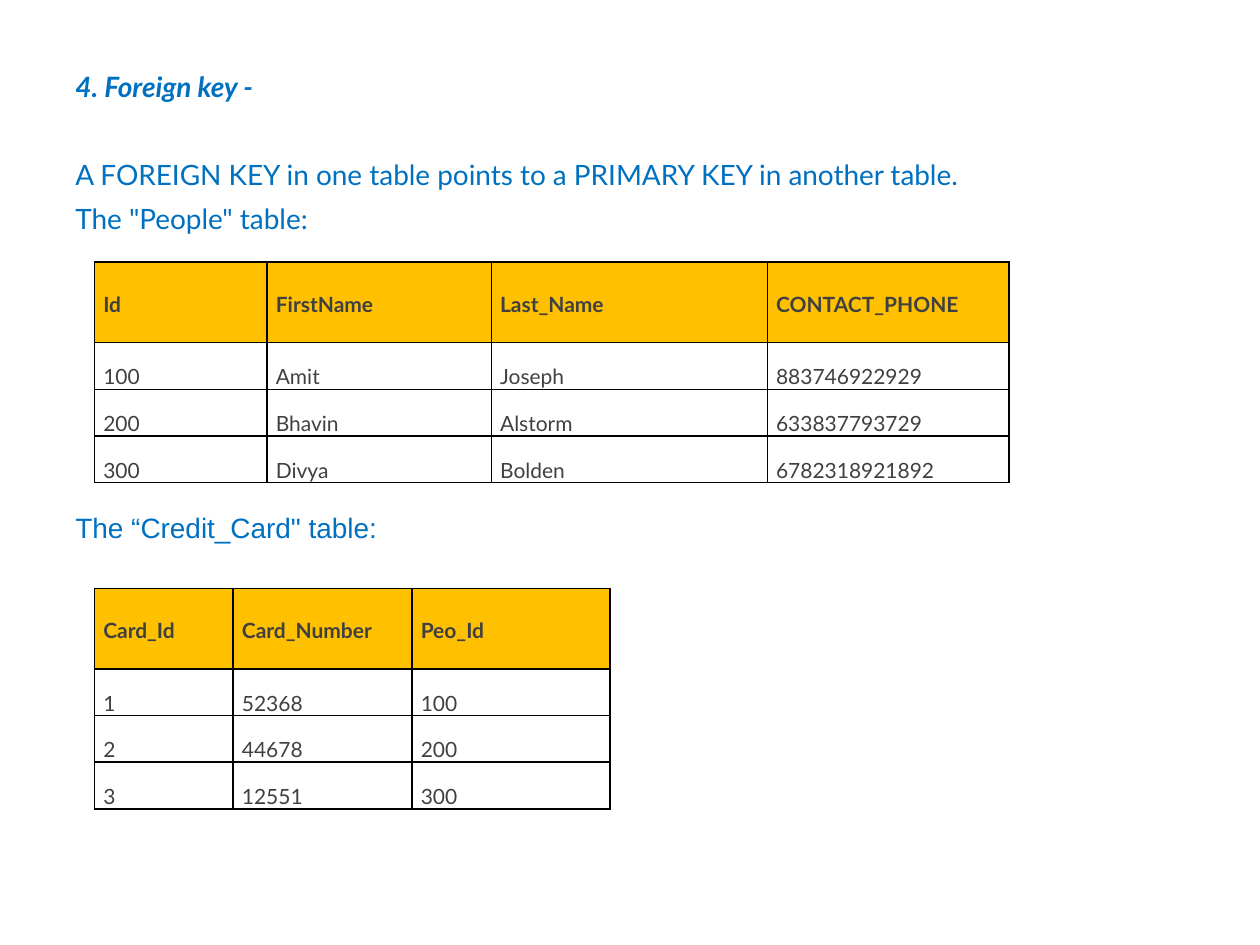
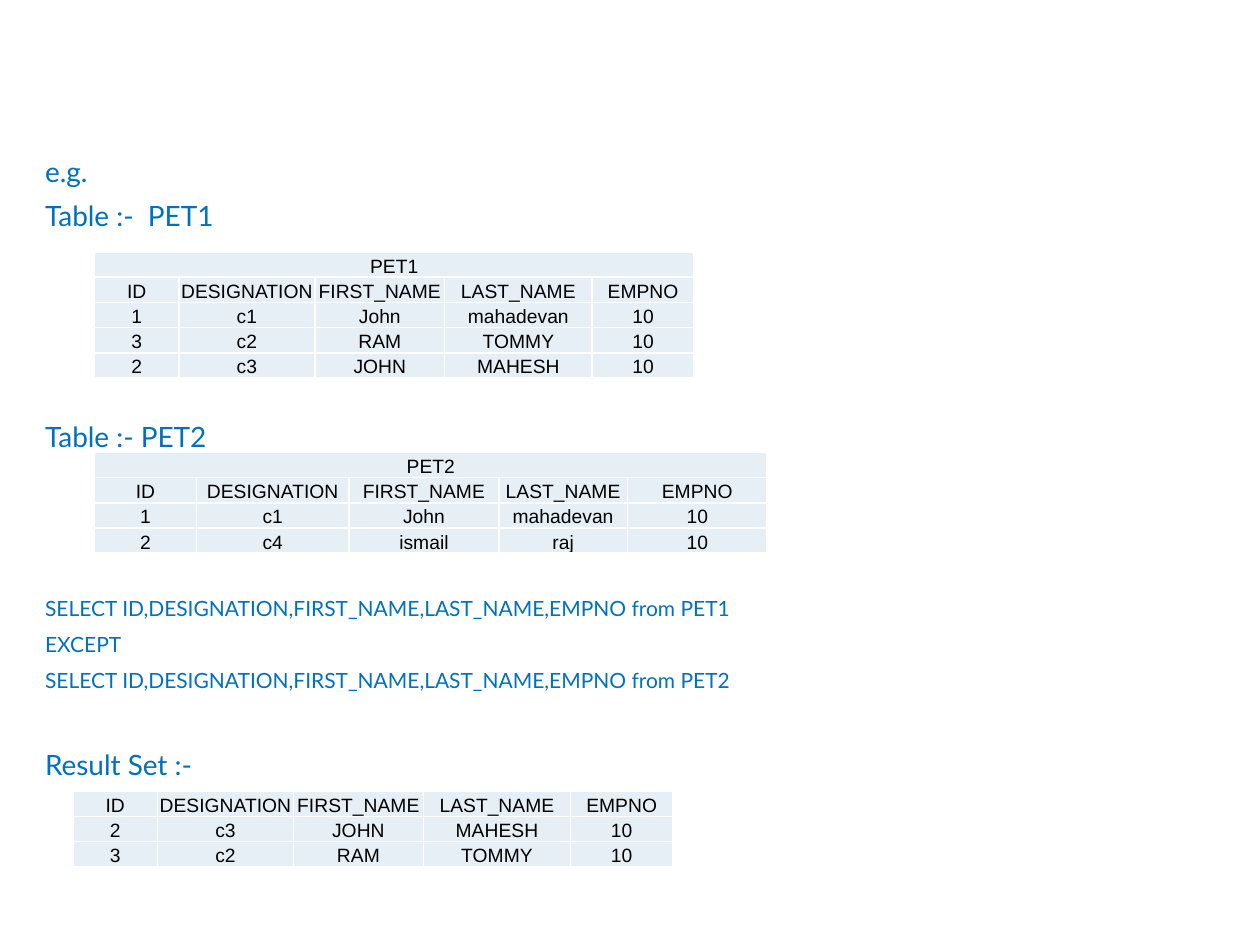
import pptx
import pptx.dml.color
import pptx.enum.text
import pptx.util
from lxml import etree
from pptx.oxml.ns import qn

Inches, Pt = pptx.util.Inches, pptx.util.Pt
Align, Anchor = pptx.enum.text.PP_ALIGN, pptx.enum.text.MSO_ANCHOR

# Shared look
BLUE, GOLD, GREY = "0070C0", "FFC000", "404040"
PALE, BLACK, WHITE = "E7EFF6", "000000", "FFFFFF"
GAP = 6          # points after each line of text
STEP = 25.2      # points taken by one 16 pt line and its gap
FIELDS = ["ID", "DESIGNATION", "FIRST_NAME", "LAST_NAME", "EMPNO"]
QUERY = "SELECT " + ",".join(FIELDS) + " from "


def color(code):
    return pptx.dml.color.RGBColor.from_string(code)


def style(font, name, size, code, bold=False, italic=False):
    font.name, font.size = name, Pt(size)
    font.bold, font.italic = bold, italic
    font.color.rgb = color(code)


def add_text(slide, box, lines):
    """Each line is its text, lines of space above, and font changes."""
    frame = slide.shapes.add_textbox(*map(Inches, box)).text_frame
    frame.word_wrap = True
    for i, (text, skip, extra) in enumerate(lines):
        para = frame.paragraphs[0] if i == 0 else frame.add_paragraph()
        para.text = text
        para.space_before, para.space_after = Pt(skip * STEP), Pt(GAP)
        style(para.font, **{"name": "Lato", "size": 16, "code": BLUE, **extra})


def add_border(cell, code):
    props = cell._tc.get_or_add_tcPr()
    for side in ("lnL", "lnR", "lnT", "lnB"):
        line = etree.SubElement(props, qn("a:" + side), w=str(Pt(1)))
        fill = etree.SubElement(line, qn("a:solidFill"))
        etree.SubElement(fill, qn("a:srgbClr"), val=code)


def add_grid(slide, left, top, cols, heights, rows, paint):
    """Place a table and let paint(cell, row number) style each cell."""
    table = slide.shapes.add_table(
        len(rows), len(cols), Inches(left), Inches(top),
        Inches(sum(cols)), Inches(sum(heights))).table
    table.first_row = table.horz_banding = False
    for col, width in zip(table.columns, cols):
        col.width = Inches(width)
    for r, (row, height) in enumerate(zip(rows, heights)):
        table.rows[r].height = Inches(height)
        for c in range(len(cols)):
            cell = table.cell(r, c)
            cell.text = row[c] if c < len(row) else ""
            paint(cell, r)
        if len(row) == 1:
            table.cell(r, 0).merge(table.cell(r, len(cols) - 1))


def set_pads(cell, side, top):
    cell.margin_left = cell.margin_right = Inches(side)
    cell.margin_top, cell.margin_bottom = Inches(top), 0


def paint_key(cell, row):
    head = row == 0
    add_border(cell, BLACK)
    if head:
        cell.fill.solid()
        cell.fill.fore_color.rgb = color(GOLD)
    else:
        cell.fill.background()
    set_pads(cell, 0.07, 0)
    cell.vertical_anchor = Anchor.MIDDLE if head else Anchor.BOTTOM
    para = cell.text_frame.paragraphs[0]
    para.line_spacing = 1.15
    style(para.font, "Lato", 12, GREY, bold=head)


def paint_pet(cell, row):
    add_border(cell, WHITE)
    cell.fill.solid()
    cell.fill.fore_color.rgb = color(PALE)
    set_pads(cell, 0.01, 0.01)
    cell.vertical_anchor = Anchor.BOTTOM
    para = cell.text_frame.paragraphs[0]
    para.alignment = Align.CENTER
    style(para.font, "Arial", 11, BLACK)


def add_key(slide, top, cols, rows):
    heights = [0.64] + [0.37] * (len(rows) - 1)
    add_grid(slide, 0.75, top, cols, heights, rows, paint_key)


def add_pet(slide, left, top, cols, rows):
    add_grid(slide, left, top, cols, [0.2] * len(rows), rows, paint_pet)


def show_key(slide):
    add_text(slide, (0.5, 0.5, 8.75, 6.83), [
        ("4. Foreign key -", 0, {"bold": True, "italic": True}),
        ("A FOREIGN KEY in one table points to a PRIMARY KEY in another table.", 1, {}),
        ('The "People" table:', 0, {}),
        ('The “Credit_Card" table:', 6, {"name": "Arial"}),
    ])
    add_key(slide, 2.08, [1.37, 1.78, 2.19, 1.92], [
        ["Id", "FirstName", "Last_Name", "CONTACT_PHONE"],
        ["100", "Amit", "Joseph", "883746922929"],
        ["200", "Bhavin", "Alstorm", "633837793729"],
        ["300", "Divya", "Bolden", "6782318921892"],
    ])
    add_key(slide, 4.67, [1.1, 1.42, 1.57], [
        ["Card_Id", "Card_Number", "Peo_Id"],
        ["1", "52368", "100"],
        ["2", "44678", "200"],
        ["3", "12551", "300"],
    ])


def show_except(slide):
    small = {"size": 12}
    add_text(slide, (0.26, 1.18, 9.5, 5.98), [
        ("e.g.", 0, {}),
        ("Table :-  PET1", 0, {}),
        ("Table :- PET2", 4, {}),
        (QUERY + "PET1", 3, small),
        ("EXCEPT", 0, small),
        (QUERY + "PET2", 0, small),
        ("Result Set :-", 1, {}),
    ])
    john = ["1", "c1", "John", "mahadevan", "10"]
    ram = ["3", "c2", "RAM", "TOMMY", "10"]
    mahesh = ["2", "c3", "JOHN", "MAHESH", "10"]
    ismail = ["2", "c4", "ismail", "raj", "10"]
    cols = [0.67, 1.08, 1.03, 1.17, 0.81]
    add_pet(slide, 0.75, 2, cols, [["PET1"], FIELDS, john, ram, mahesh])
    add_pet(slide, 0.75, 3.59, [0.81, 1.21, 1.19, 1.02, 1.11],
            [["PET2"], FIELDS, john, ismail])
    add_pet(slide, 0.58, 6.28, cols, [FIELDS, mahesh, ram])


def main():
    deck = pptx.Presentation()
    deck.slide_width, deck.slide_height = Inches(10), Inches(7.5)
    for show in (show_key, show_except):
        show(deck.slides.add_slide(deck.slide_layouts[6]))
    deck.save("out.pptx")


if __name__ == "__main__":
    main()
